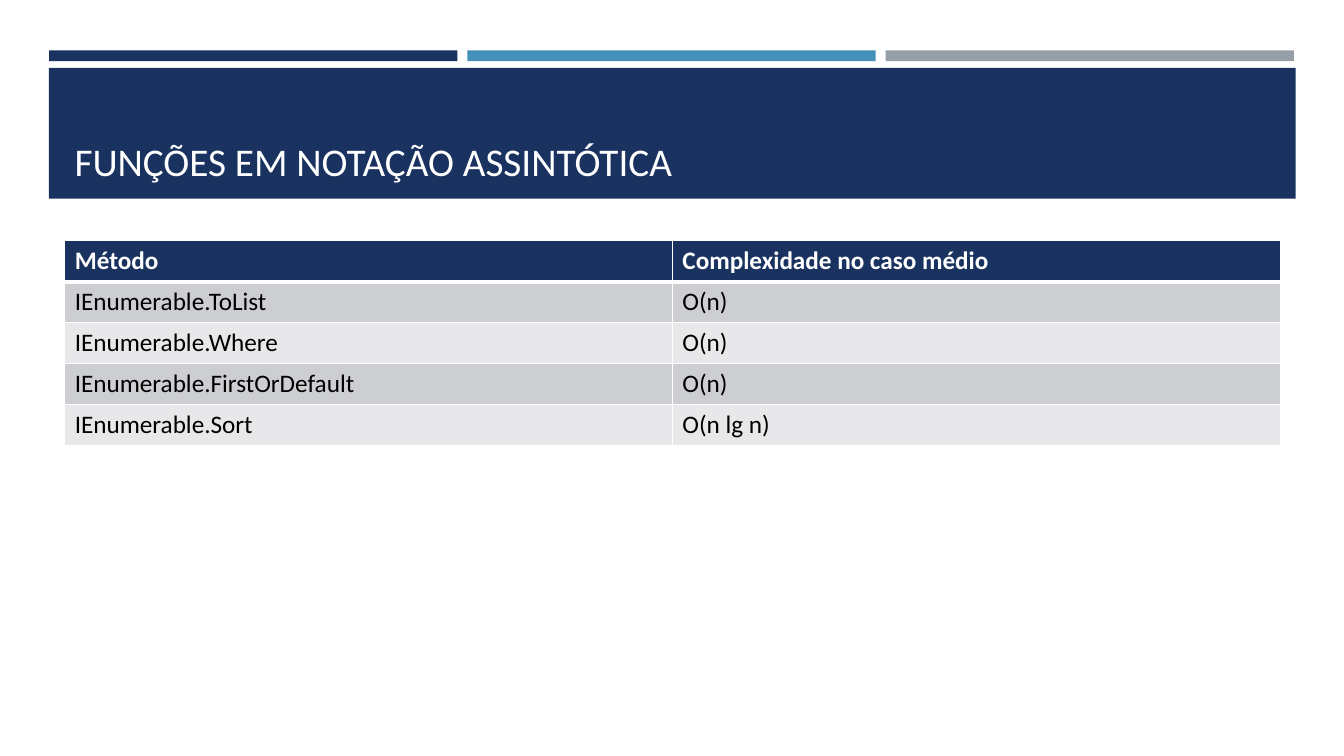
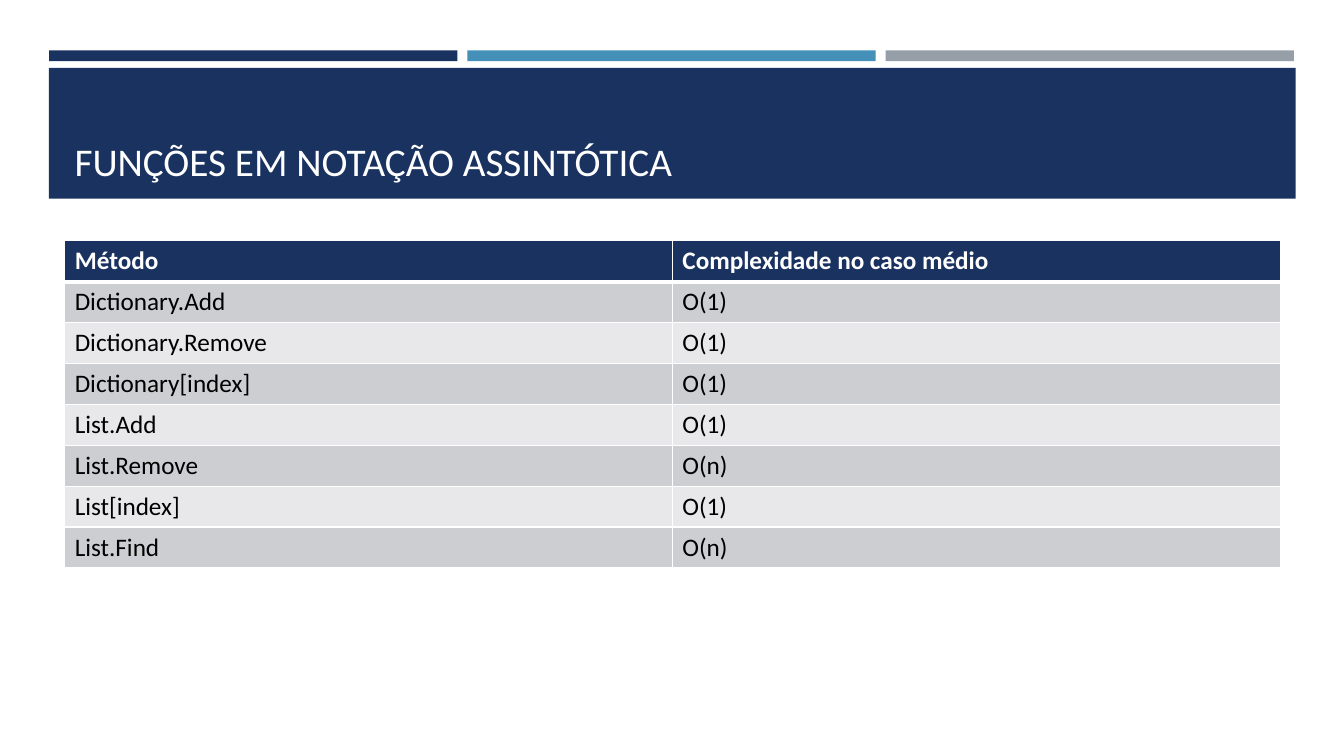
from lxml.etree import SubElement
from pptx import Presentation
from pptx.dml.color import RGBColor
from pptx.enum.shapes import MSO_SHAPE as Preset
from pptx.enum.text import MSO_ANCHOR as Anchor
from pptx.oxml import parse_xml
from pptx.oxml.ns import nsdecls, qn
from pptx.util import Cm, Pt

TITLE = "FUNÇÕES EM NOTAÇÃO ASSINTÓTICA"
HEADER = ("Método", "Complexidade no caso médio")
METHOD_TABLES = [
    [
        ("IEnumerable.ToList", "O(n)"),
        ("IEnumerable.Where", "O(n)"),
        ("IEnumerable.FirstOrDefault", "O(n)"),
        ("IEnumerable.Sort", "O(n lg n)"),
    ],
    [
        ("Dictionary.Add", "O(1)"),
        ("Dictionary.Remove", "O(1)"),
        ("Dictionary[index]", "O(1)"),
        ("List.Add", "O(1)"),
        ("List.Remove", "O(n)"),
        ("List[index]", "O(1)"),
        ("List.Find", "O(n)"),
    ],
]

FONT = "Calibri"
NAVY, BLUE, GRAY = "1A3260", "4590B8", "969FA7"
WHITE, BLACK = "FFFFFF", "000000"
ROW_FILLS = ("CDCED2", "E8E8EA")

STRIP_LEFT, STRIP_TOP, STRIP_WIDTH, STRIP_HEIGHT, STRIP_STEP = 1.24, 1.27, 10.29, 0.27, 10.54
BAND = (1.23, 1.71, 31.42, 3.3)
CONTENT_LEFT, CONTENT_WIDTH = 1.63, 30.63
TITLE_TOP, TITLE_HEIGHT = 1.96, 2.82
TABLE_TOP, ROW_HEIGHT = 6.07, 1.03


def color(value):
    return RGBColor.from_string(value)


def paint(target, value):
    target.fill.solid()
    target.fill.fore_color.rgb = color(value)


def write(frame, text, size, value, bold=False):
    span = frame.paragraphs[0].add_run()
    span.text = text
    span.font.name = FONT
    span.font.size = Pt(size)
    span.font.bold = bold
    span.font.color.rgb = color(value)


def add_bar(page, left, top, width, height, value):
    bar = page.shapes.add_shape(Preset.RECTANGLE, Cm(left), Cm(top), Cm(width), Cm(height))
    bar.shadow.inherit = False
    bar.line.fill.background()
    paint(bar, value)


def add_frame(page):
    for index, value in enumerate((NAVY, BLUE, GRAY)):
        left = STRIP_LEFT + index * STRIP_STEP
        add_bar(page, left, STRIP_TOP, STRIP_WIDTH, STRIP_HEIGHT, value)
    add_bar(page, *BAND, NAVY)
    box = page.shapes.add_textbox(
        Cm(CONTENT_LEFT), Cm(TITLE_TOP), Cm(CONTENT_WIDTH), Cm(TITLE_HEIGHT))
    box.text_frame.word_wrap = True
    box.text_frame.vertical_anchor = Anchor.BOTTOM
    write(box.text_frame, TITLE, 28, WHITE)


def set_borders(cell, top, bottom):
    properties = cell._tc.get_or_add_tcPr()
    sides = (("lnL", 1), ("lnR", 1), ("lnT", top), ("lnB", bottom))
    for index, (side, width) in enumerate(sides):
        border = parse_xml(f'<a:{side} {nsdecls("a")} w="{Pt(width)}"/>')
        fill = SubElement(border, qn("a:solidFill"))
        SubElement(fill, qn("a:srgbClr"), val=WHITE)
        properties.insert(index, border)


def add_method_table(page, methods):
    rows = [HEADER, *methods]
    table = page.shapes.add_table(
        len(rows), len(HEADER), Cm(CONTENT_LEFT), Cm(TABLE_TOP),
        Cm(CONTENT_WIDTH), Cm(ROW_HEIGHT * len(rows))).table
    for row_index, values in enumerate(rows):
        table.rows[row_index].height = Cm(ROW_HEIGHT)
        is_header = row_index == 0
        fill = NAVY if is_header else ROW_FILLS[(row_index - 1) % 2]
        for column, text in enumerate(values):
            cell = table.cell(row_index, column)
            paint(cell, fill)
            set_borders(cell, 3 if row_index == 1 else 1, 3 if is_header else 1)
            write(cell.text_frame, text, 18, WHITE if is_header else BLACK, is_header)


deck = Presentation()
deck.slide_width, deck.slide_height = Cm(33.87), Cm(19.05)
for methods in METHOD_TABLES:
    page = deck.slides.add_slide(deck.slide_layouts[6])
    add_frame(page)
    add_method_table(page, methods)
deck.save("out.pptx")
